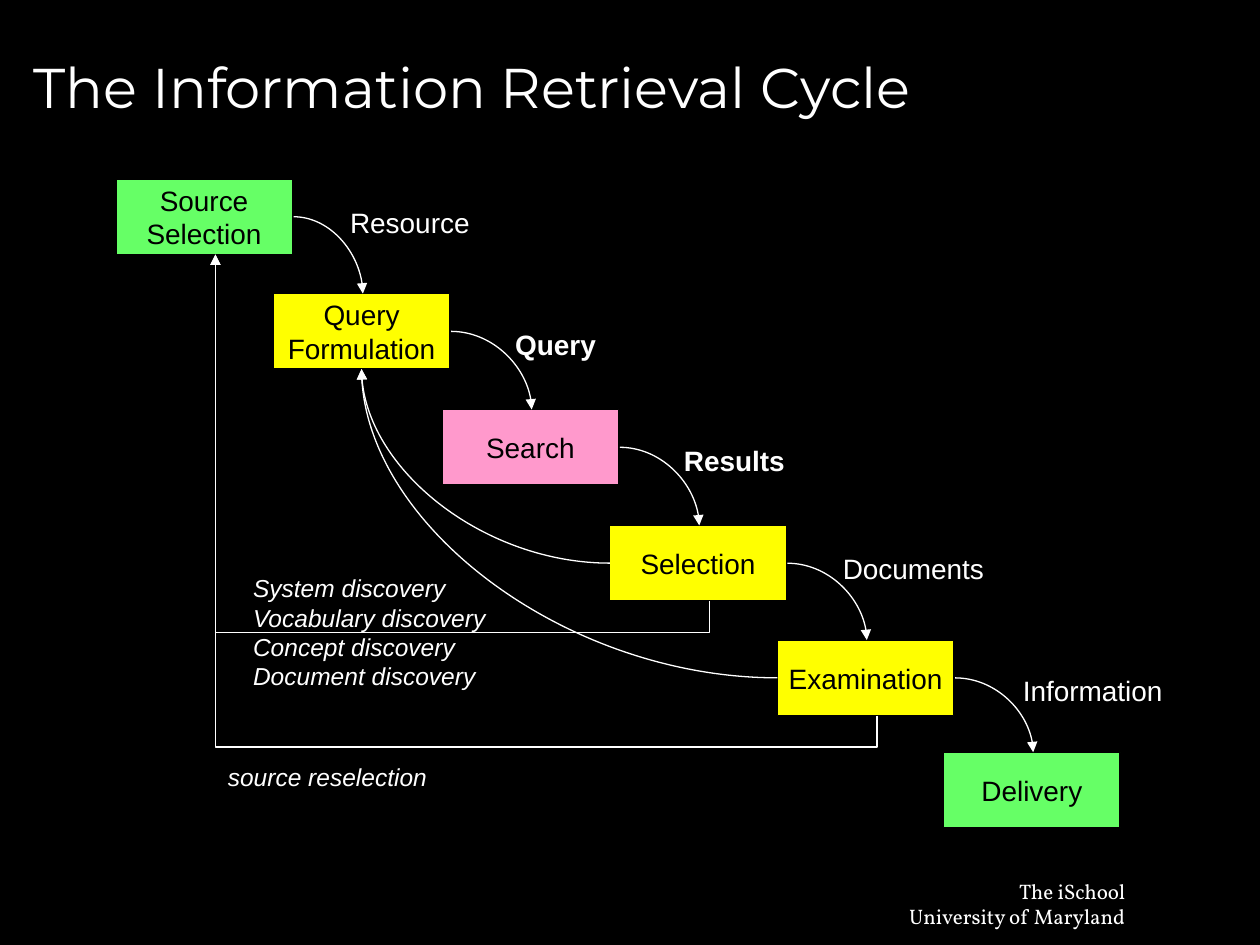
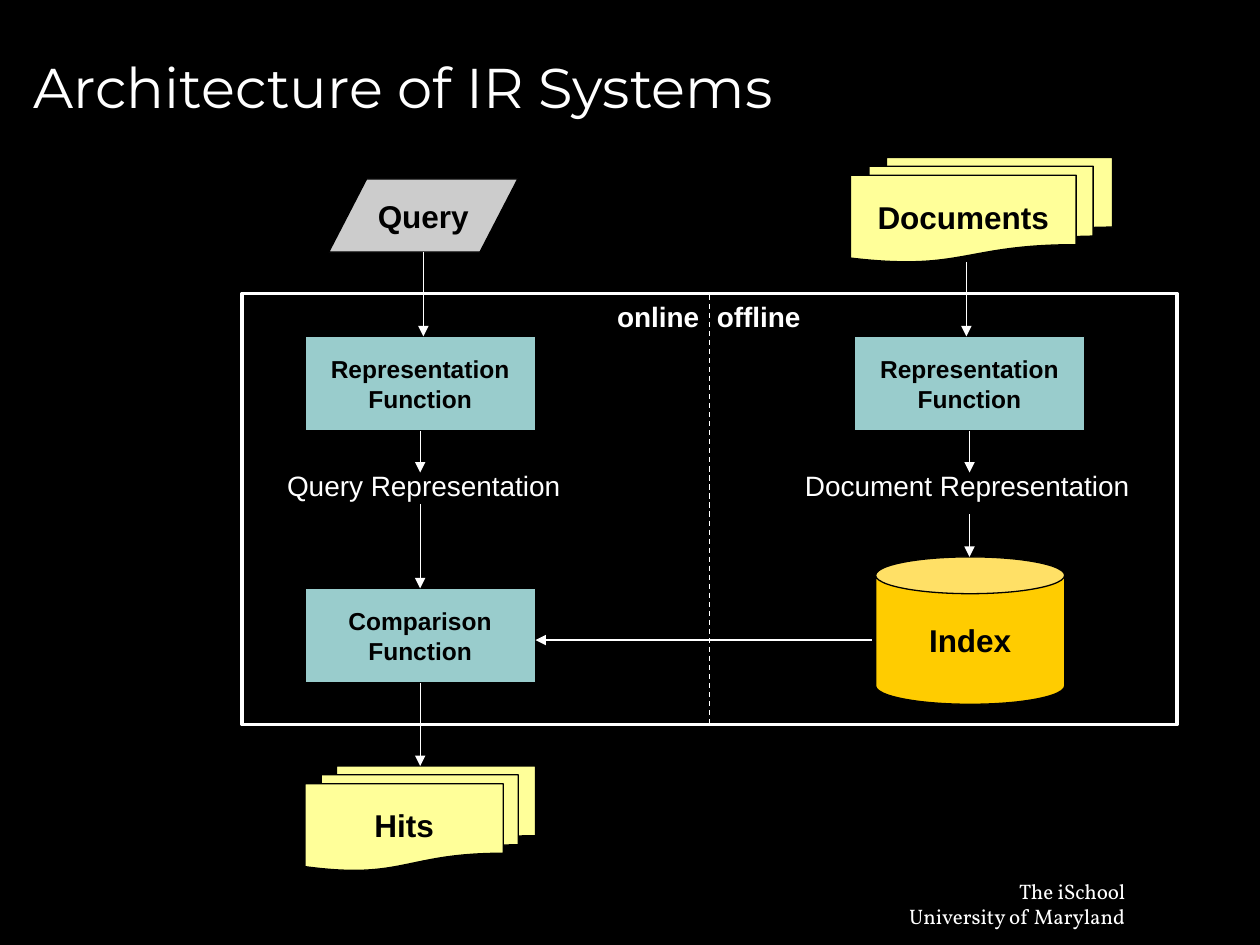
from lxml import etree
from pptx import Presentation
from pptx.dml.color import RGBColor
from pptx.enum.dml import MSO_LINE
from pptx.enum.shapes import MSO_CONNECTOR as Route, MSO_SHAPE as Form
from pptx.enum.text import MSO_ANCHOR as Anchor, PP_ALIGN as Align
from pptx.oxml.ns import qn
from pptx.util import Inches, Pt

BLACK, WHITE = "000000", "FFFFFF"
GREEN, YELLOW, PINK = "66FF66", "FFFF00", "FF99CC"
TEAL, PAPER, GREY, GOLD = "99CCCC", "FFFF99", "CCCCCC", "FFCC00"
FOOTER = ["The iSchool", "University of Maryland"]

# Slide 1: lines, left, top, fill
STAGE_W, STAGE_H = 1.4, 0.6
STAGES = [
    (["Source", "Selection"], 0.92, 1.42, GREEN),
    (["Query", "Formulation"], 2.17, 2.33, YELLOW),
    (["Search"], 3.51, 3.25, PINK),
    (["Selection"], 4.84, 4.17, YELLOW),
    (["Examination"], 6.17, 5.08, YELLOW),
    (["Delivery"], 7.49, 5.97, GREEN),
]
# What each stage hands on: text, left, top, width, bold
HANDOVERS = [
    ("Resource", 2.68, 1.58, 1.15, False),
    ("Query", 3.99, 2.55, 0.85, True),
    ("Results", 5.33, 3.47, 1.0, True),
    ("Documents", 6.59, 4.33, 1.32, False),
    ("Information", 8.02, 5.3, 1.31, False),
]
FEEDBACK_STAGES = [4, 3]
FEEDBACK_NOTES = [
    (["source reselection"], 1.71, 6, 2.3, 0.34),
    (["System discovery", "Vocabulary discovery", "Concept discovery",
      "Document discovery"], 1.91, 4.5, 2.05, 1.04),
]
RESELECT_X, RESELECT_DROP = 1.71, 0.25

# Slide 2: name, form, lines, place, fill, size
FUNCTION_W, FUNCTION_H = 1.83, 0.75
ONLINE_X, OFFLINE_X = 2.42, 6.78
PARTS = [
    ("documents", Form.FLOWCHART_MULTIDOCUMENT, ["Documents"],
     (6.75, 1.25, 2.08, 0.83), PAPER, 18),
    ("query", Form.FLOWCHART_DATA, ["Query"], (2.61, 1.42, 1.5, 0.58), GREY, 18),
    ("hits", Form.FLOWCHART_MULTIDOCUMENT, ["Hits"],
     (ONLINE_X, 6.08, FUNCTION_W, 0.83), PAPER, 18),
    ("query function", Form.RECTANGLE, ["Representation", "Function"],
     (ONLINE_X, 2.67, FUNCTION_W, FUNCTION_H), TEAL, 14),
    ("document function", Form.RECTANGLE, ["Representation", "Function"],
     (OFFLINE_X, 2.67, FUNCTION_W, FUNCTION_H), TEAL, 14),
    ("comparison", Form.RECTANGLE, ["Comparison", "Function"],
     (ONLINE_X, 4.67, FUNCTION_W, FUNCTION_H), TEAL, 14),
    ("index", Form.CAN, ["Index"], (6.95, 4.42, 1.5, 1.17), GOLD, 18),
]
ONLINE_AXIS, OFFLINE_AXIS = (x + FUNCTION_W / 2 for x in (ONLINE_X, OFFLINE_X))
# Start, end, joined start (part, side), joined end (part, side)
FLOWS = [
    ((ONLINE_AXIS, 3.42), (ONLINE_AXIS, 3.75), ("query function", 2), None),
    ((OFFLINE_AXIS, 3.42), (OFFLINE_AXIS, 3.75), ("document function", 2), None),
    ((OFFLINE_AXIS, 4.08), (OFFLINE_AXIS, 4.42), None, None),
    ((3.36, 2), (3.36, 2.67), None, None),
    ((7.67, 2.08), (7.67, 2.67), None, None),
    ((6.92, 5.08), (4.25, 5.08), None, None),
    ((ONLINE_AXIS, 5.42), (ONLINE_AXIS, 6.08), ("comparison", 2), None),
    ((ONLINE_AXIS, 4), (ONLINE_AXIS, 4.67), None, ("comparison", 0)),
]
# Text, left, top, width, bold
CAPTIONS = [
    ("Query Representation", 2.18, 3.67, 2.45, False),
    ("Document Representation", 6.29, 3.67, 2.9, False),
    ("offline", 5.59, 2.33, 0.95, True),
    ("online", 4.8, 2.33, 0.9, True),
]
FRAME = (1.92, 2.33, 7.42, 3.42)
DIVIDER = ((5.63, 2.34), (5.63, 5.75))


def rgb(code):
    return RGBColor.from_string(code)


def write(shape, lines, size, color=WHITE, font="Arial", bold=False,
          italic=False, align=Align.LEFT, anchor=Anchor.TOP, wrap=False):
    """Put one paragraph per line into the shape."""
    frame = shape.text_frame
    frame.word_wrap = wrap
    frame.vertical_anchor = anchor
    for number, line in enumerate(lines):
        para = frame.add_paragraph() if number else frame.paragraphs[0]
        para.alignment = align
        span = para.add_run()
        span.text = line
        span.font.name, span.font.size = font, Pt(size)
        span.font.bold, span.font.italic = bold, italic
        span.font.color.rgb = rgb(color)


def add_label(page, lines, place, size, wrap=True, **style):
    label = page.shapes.add_textbox(*map(Inches, place))
    write(label, lines, size, wrap=wrap, **style)


def add_box(page, form, place, fill=None, line=BLACK, weight=0.75):
    box = page.shapes.add_shape(form, *map(Inches, place))
    box.shadow.inherit = False
    if fill:
        box.fill.solid()
        box.fill.fore_color.rgb = rgb(fill)
    else:
        box.fill.background()
    box.line.color.rgb = rgb(line)
    box.line.width = Pt(weight)
    return box


def add_line(page, start, end, route=Route.STRAIGHT, arrow=True, dashed=False):
    line = page.shapes.add_connector(route, *map(Inches, (*start, *end)))
    line.line.color.rgb = rgb(WHITE)
    line.line.width = Pt(0.75)
    if dashed:
        line.line.dash_style = MSO_LINE.DASH
    properties = line.element.spPr
    if arrow:
        etree.SubElement(properties.find(qn("a:ln")), qn("a:tailEnd"), type="triangle")
    etree.SubElement(properties, qn("a:effectLst"))
    return line


def add_curve(page, start, end):
    """Quarter curve that leaves sideways and arrives vertically."""
    curve = add_line(page, start, end, Route.CURVE)
    curve.element.spPr.find(qn("a:prstGeom")).set("prst", "curvedConnector2")


def add_return(page, start, end, drop):
    """Elbow that drops below its start, runs left and rises to its end."""
    run, rise = start[0] - end[0], start[1] - end[1]
    mid_x, mid_y = (start[0] + end[0]) / 2, (start[1] + end[1]) / 2
    # The elbow is laid out sideways around its centre, then turned upright.
    line = add_line(page, (mid_x - rise / 2, mid_y + run / 2),
                    (mid_x + rise / 2, mid_y - run / 2), Route.ELBOW)
    properties = line.element.spPr
    properties.find(qn("a:xfrm")).set("rot", str(270 * 60000))
    geometry = properties.find(qn("a:prstGeom"))
    guides = geometry.find(qn("a:avLst"))
    if guides is None:
        guides = etree.SubElement(geometry, qn("a:avLst"))
    etree.SubElement(guides, qn("a:gd"), name="adj1",
                     fmla=f"val {round(-drop / rise * 100000)}")


def add_page(deck, title):
    page = deck.slides.add_slide(deck.slide_layouts[6])
    page.background.fill.solid()
    page.background.fill.fore_color.rgb = rgb(BLACK)
    add_label(page, FOOTER, (7.09, 6.92, 1.94, 0.5), 12, font="Vollkorn",
              align=Align.RIGHT, wrap=False)
    add_label(page, [title], (0.17, 0.12, 9.5, 1.12), 32, font="Montserrat",
              anchor=Anchor.MIDDLE)
    return page


def build_cycle(deck):
    page = add_page(deck, "The Information Retrieval Cycle")
    for lines, left, top, fill in STAGES:
        box = add_box(page, Form.RECTANGLE, (left, top, STAGE_W, STAGE_H), fill)
        write(box, lines, 16, BLACK, align=Align.CENTER, anchor=Anchor.MIDDLE)

    for stage, following, handover in zip(STAGES, STAGES[1:], HANDOVERS):
        add_curve(page, (stage[1] + STAGE_W + 0.01, stage[2] + STAGE_H / 2),
                  (following[1] + STAGE_W / 2 + 0.01, following[2]))
        text, left, top, width, bold = handover
        add_label(page, [text], (left, top, width, 0.37), 16, bold=bold, wrap=False)

    for lines, *place in FEEDBACK_NOTES:
        add_label(page, lines, place, 14, italic=True, wrap=False)

    source, query = STAGES[:2]
    for number in FEEDBACK_STAGES:
        _, left, top, _ = STAGES[number]
        add_return(page, (left + 0.79, top + STAGE_H),
                   (RESELECT_X, source[2] + STAGE_H), RESELECT_DROP)
        add_curve(page, (left, top + STAGE_H / 2),
                  (query[1] + STAGE_W / 2, query[2] + STAGE_H))


def build_architecture(deck):
    page = add_page(deck, "Architecture of IR Systems")
    parts = {}
    for name, form, lines, place, fill, size in PARTS:
        parts[name] = add_box(page, form, place, fill)
        write(parts[name], lines, size, BLACK, bold=True, align=Align.CENTER,
              anchor=Anchor.MIDDLE)

    for start, end, joined_start, joined_end in FLOWS:
        arrow = add_line(page, start, end)
        if joined_start:
            arrow.begin_connect(parts[joined_start[0]], joined_start[1])
        if joined_end:
            arrow.end_connect(parts[joined_end[0]], joined_end[1])

    add_box(page, Form.RECTANGLE, FRAME, line=WHITE, weight=2)
    add_line(page, *DIVIDER, arrow=False, dashed=True)
    for text, left, top, width, bold in CAPTIONS:
        add_label(page, [text], (left, top, width, 0.37), 16, bold=bold)


def main():
    deck = Presentation()
    deck.slide_width, deck.slide_height = Inches(10), Inches(7.5)
    build_cycle(deck)
    build_architecture(deck)
    deck.save("out.pptx")


if __name__ == "__main__":
    main()
